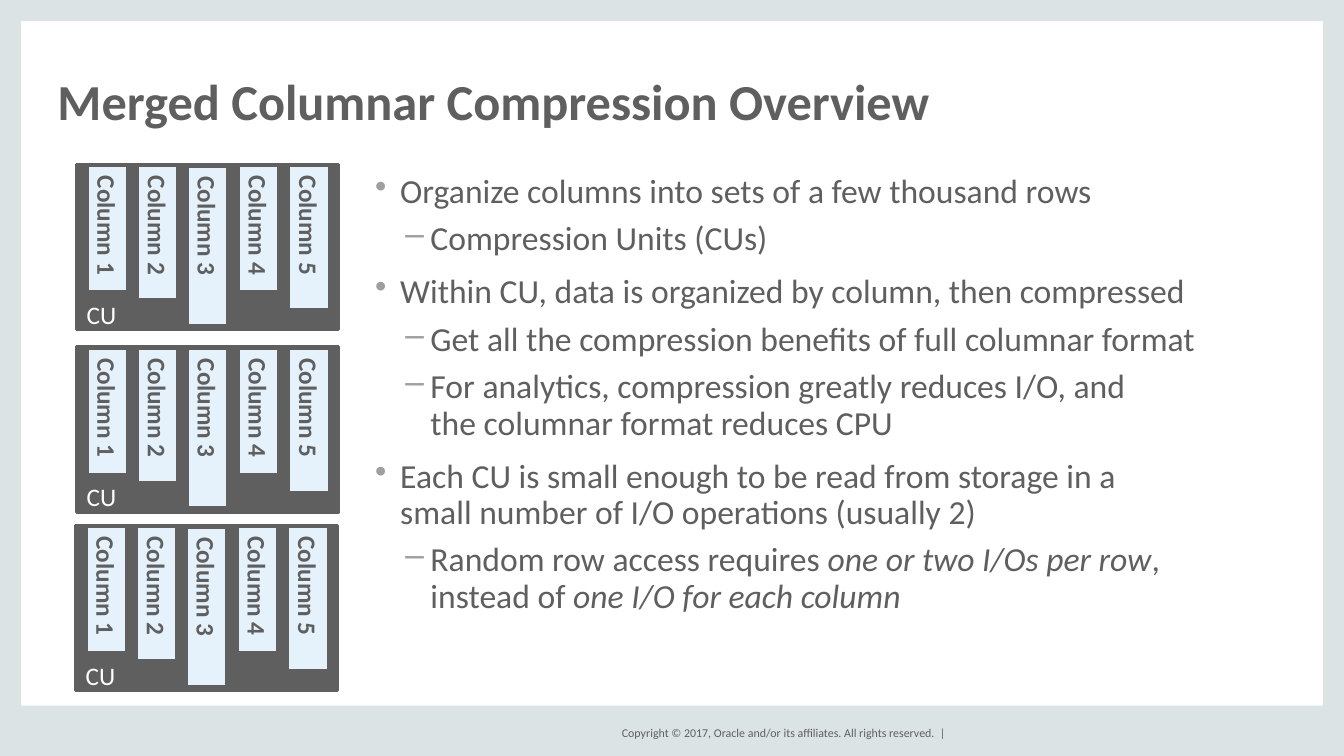
"""Build the Merged Columnar Compression overview slide."""
from dataclasses import dataclass

from lxml.etree import SubElement
from pptx import Presentation
from pptx.dml.color import RGBColor
from pptx.enum.shapes import MSO_SHAPE
from pptx.enum.text import MSO_ANCHOR, MSO_AUTO_SIZE, PP_ALIGN
from pptx.oxml.ns import qn
from pptx.shapes.autoshape import Shape
from pptx.shapes.shapetree import GroupShapes, SlideShapes
from pptx.text.text import TextFrame, _Paragraph
from pptx.util import Emu, Pt

SCALE = 9144
FONT = "Calibri"
HUES = {"frame": "DCE3E4", "gray": "5F5F5F", "mark": "9F9F9F",
        "bar": "E5F1FB", "white": "FFFFFF"}


@dataclass(frozen=True)
class Box:
    """A rectangle in px, a hundred to the inch."""
    left: int
    top: int
    width: int
    height: int


@dataclass(frozen=True)
class Level:
    """The bullet style of one outline level, with indents in px."""
    mark: str
    left: int
    space: int


@dataclass(frozen=True)
class Point:
    """One bullet, with italics between asterisks."""
    level: int
    text: str


EDGES = [Box(0, 0, 21, 750), Box(1312, 0, 21, 750),
         Box(0, 700, 1333, 50), Box(0, 0, 1333, 21)]
UNITS = [Box(76, 163, 260, 164), Box(76, 344, 260, 164), Box(75, 521, 260, 164)]
BARS = [125, 133, 158, 125, 143]
HANG = 25
LEVELS = [Level("•", 25, 12), Level("–", 55, 8)]
POINTS = [
    Point(0, "Organize columns into sets of a few thousand rows"),
    Point(1, "Compression Units (CUs)"),
    Point(0, "Within CU, data is organized by column, then compressed"),
    Point(1, "Get all the compression benefits of full columnar format"),
    Point(1, "For analytics, compression greatly reduces I/O, and\n"
             "the columnar format reduces CPU"),
    Point(0, "Each CU is small enough to be read from storage in a\n"
             "small number of I/O operations (usually 2)"),
    Point(1, "Random row access requires *one or two I/Os per row*,\n"
             "instead of *one I/O for each column*"),
]


def px(size: float) -> Emu:
    """Turn px into EMU."""
    return Emu(round(size * SCALE))


def spread(box: Box) -> tuple[Emu, Emu, Emu, Emu]:
    """Give the four lengths of a box in EMU."""
    return px(box.left), px(box.top), px(box.width), px(box.height)


def style(para: _Paragraph, size: float, hue: str = "gray", bold: bool = False) -> None:
    """Set the font of a paragraph."""
    font = para.font
    font.name, font.size, font.bold = FONT, Pt(size), bold
    font.color.rgb = RGBColor.from_string(HUES[hue])


def trim(frame: TextFrame, wrap: bool) -> None:
    """Clear the insets of a text frame and set its wrapping."""
    frame.margin_left = frame.margin_right = 0
    frame.margin_top = frame.margin_bottom = 0
    frame.auto_size = MSO_AUTO_SIZE.NONE
    frame.word_wrap = wrap


def add_rect(shapes: SlideShapes | GroupShapes, box: Box, hue: str,
             line: bool = True) -> Shape:
    """Draw a filled rectangle, with a gray outline if asked."""
    rect = shapes.add_shape(MSO_SHAPE.RECTANGLE, *spread(box))
    rect.shadow.inherit = False
    rect.fill.solid()
    rect.fill.fore_color.rgb = RGBColor.from_string(HUES[hue])
    if line:
        rect.line.color.rgb = RGBColor.from_string(HUES["gray"])
        rect.line.width = Pt(2.25)
    else:
        rect.line.fill.background()
    return rect


def add_text(shapes: SlideShapes | GroupShapes, box: Box, wrap: bool = False) -> TextFrame:
    """Add a text box without insets."""
    frame = shapes.add_textbox(*spread(box)).text_frame
    trim(frame, wrap)
    return frame


def add_title(shapes: SlideShapes) -> None:
    """Place and format the title."""
    title = shapes.title
    title.left, title.top, title.width, title.height = spread(Box(57, 32, 1237, 97))
    frame = title.text_frame
    trim(frame, True)
    frame.vertical_anchor = MSO_ANCHOR.BOTTOM
    para = frame.paragraphs[0]
    para.text = "Merged Columnar Compression Overview"
    para.alignment, para.line_spacing = PP_ALIGN.LEFT, 0.8
    style(para, 36, bold=True)


def add_point(para: _Paragraph, point: Point, first: bool) -> None:
    """Write one bullet with its mark, indent and italics."""
    level = LEVELS[point.level]
    para.level = point.level
    props = para._p.get_or_add_pPr()
    props.set("marL", str(px(level.left)))
    props.set("indent", str(px(-HANG)))
    tint = SubElement(props, qn("a:buClr"))
    SubElement(tint, qn("a:srgbClr"), val=HUES["mark"])
    SubElement(props, qn("a:buChar"), char=level.mark)
    para.line_spacing = 0.9
    para.space_before = Pt(0 if first else level.space)
    style(para, 24)
    for part, text in enumerate(point.text.split("*")):
        for row, words in enumerate(text.split("\n")):
            if row:
                para.add_line_break()
            if words:
                run = para.add_run()
                run.text = words
                if part % 2:
                    run.font.italic = True


def add_unit(shapes: SlideShapes, box: Box) -> None:
    """Draw one compression unit with its hanging columns."""
    group = shapes.add_group_shape().shapes
    add_rect(group, box, "gray")
    for i, size in enumerate(BARS):
        mid = box.left + 30 + 50 * i
        drop = box.top + 2 + size // 2
        bar = add_rect(group, Box(mid - size // 2, drop - 20, size, 40), "bar")
        bar.rotation = 90
        frame = bar.text_frame
        frame.vertical_anchor = MSO_ANCHOR.TOP
        para = frame.paragraphs[0]
        para.text = f"Column {i + 1}"
        para.alignment = PP_ALIGN.LEFT
        style(para, 18, bold=True)
    label = add_text(group, Box(box.left + 10, box.top + 137, 31, 27)).paragraphs[0]
    label.text = "CU"
    label.line_spacing = 0.9
    style(label, 18, "white")


def main() -> None:
    """Build and save the slide."""
    deck = Presentation()
    deck.slide_width, deck.slide_height = px(1333), px(750)
    shapes = deck.slides.add_slide(deck.slide_layouts[5]).shapes
    for edge in EDGES:
        add_rect(shapes, edge, "frame", line=False)
    foot = add_text(shapes, Box(588, 717, 350, 20))
    foot.vertical_anchor = MSO_ANCHOR.MIDDLE
    para = foot.paragraphs[0]
    para.text = "Copyright © 2017, Oracle and/or its affiliates. All rights reserved.  |"
    para.alignment = PP_ALIGN.RIGHT
    style(para, 8.5)
    add_title(shapes)
    body = add_text(shapes, Box(372, 173, 920, 490), wrap=True)
    for i, point in enumerate(POINTS):
        add_point(body.add_paragraph() if i else body.paragraphs[0], point, not i)
    for unit in UNITS:
        add_unit(shapes, unit)
    deck.save("out.pptx")


if __name__ == "__main__":
    main()
